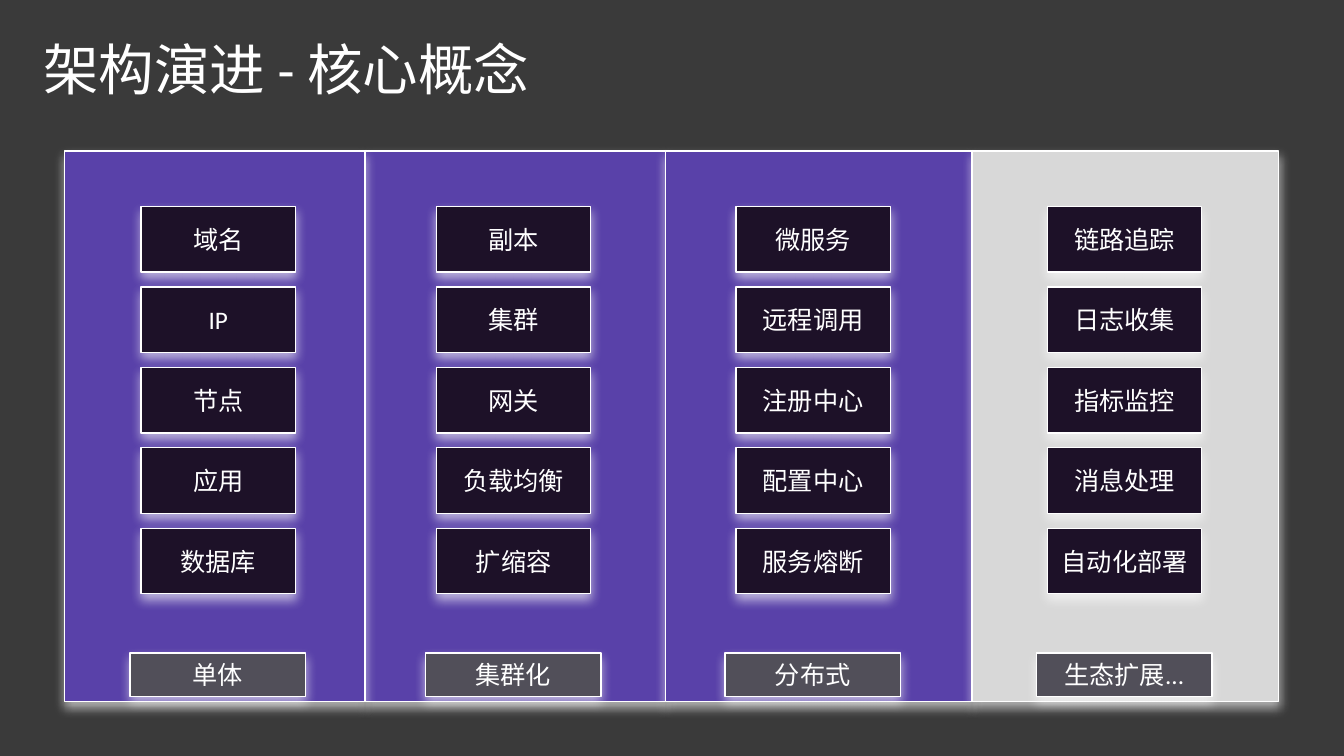
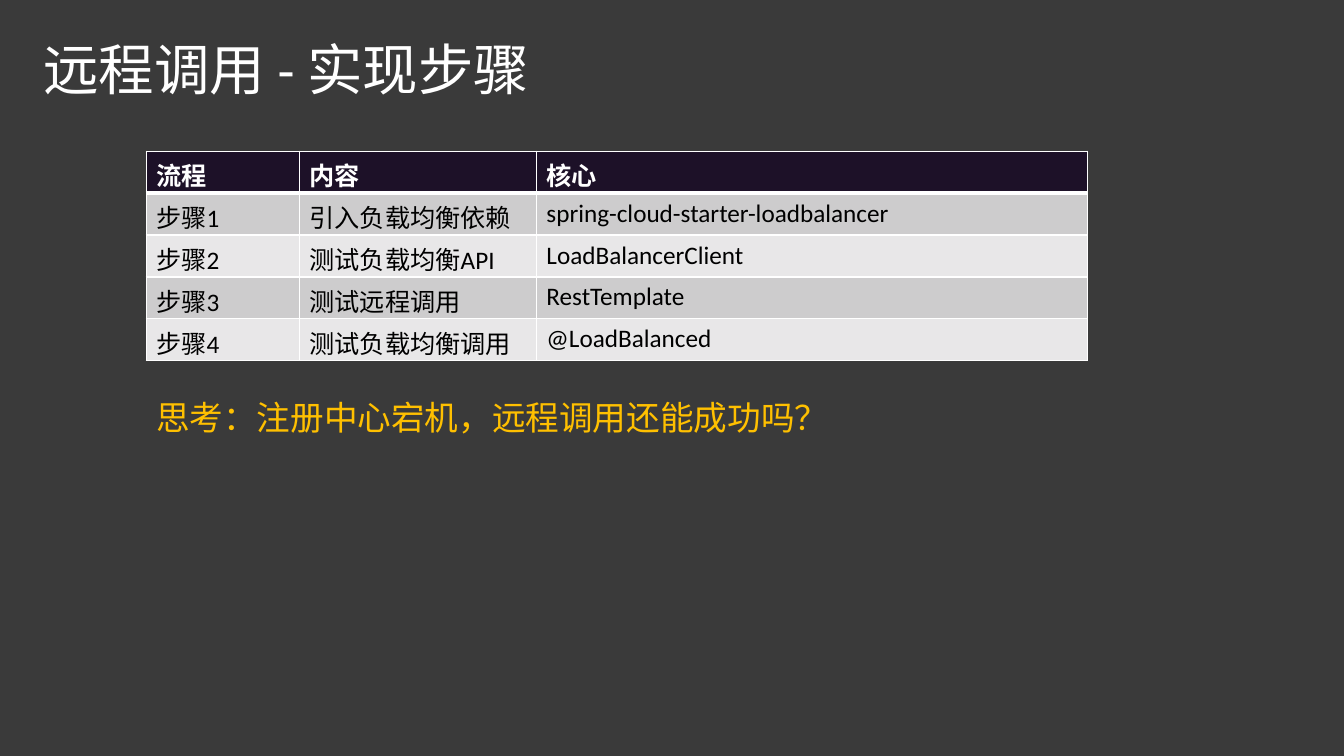
from collections import namedtuple

from lxml import etree
from pptx import Presentation
from pptx import util as u
from pptx.dml.color import RGBColor
from pptx.enum import lang, shapes, text
from pptx.oxml.ns import qn

FONT = "Calibri"
BACKGROUND = RGBColor(0x3A, 0x3A, 0x3A)
WHITE = RGBColor(0xFF, 0xFF, 0xFF)
BLACK = RGBColor(0x00, 0x00, 0x00)
PURPLE = RGBColor(0x59, 0x41, 0xA9)
SILVER = RGBColor(0xD8, 0xD8, 0xD8)
NIGHT = RGBColor(0x1D, 0x11, 0x28)
SLATE = RGBColor(0x51, 0x4F, 0x59)
AMBER = RGBColor(0xFF, 0xC0, 0x00)
BANDS = (RGBColor(0xCD, 0xCC, 0xCD), RGBColor(0xE8, 0xE7, 0xE8))

Box = namedtuple("Box", "left top width height")
Stage = namedtuple("Stage", "name width inset fill concepts")

TITLE_BOX = Box(0.33, 0.35, 8, 0.73)
STAGES_BOX = Box(0.64, 1.5, 12.04, 5.46)
TABLE_BOX = Box(1.45, 1.5, 9.34, 2.08)
QUESTION_BOX = Box(1.45, 3.89, 9.23, 0.5)

STAGES = (
    Stage("单体", 2.98, 0.76, PURPLE, ("域名", "IP", "节点", "应用", "数据库")),
    Stage("集群化", 2.98, 0.71, PURPLE, ("副本", "集群", "网关", "负载均衡", "扩缩容")),
    Stage("分布式", 3.04, 0.7, PURPLE,
          ("微服务", "远程调用", "注册中心", "配置中心", "服务熔断")),
    Stage("生态扩展...", 3.04, 0.75, SILVER,
          ("链路追踪", "日志收集", "指标监控", "消息处理", "自动化部署")),
)
PANEL_ORDER = (1, 0, 2, 3)  # the first panel casts its shadow on the second

STEP_COLUMNS = (1.52, 2.35, 5.47)
STEPS = (
    ("流程", "内容", "核心"),
    ("步骤1", "引入负载均衡依赖", "spring-cloud-starter-loadbalancer"),
    ("步骤2", "测试负载均衡API", "LoadBalancerClient"),
    ("步骤3", "测试远程调用", "RestTemplate"),
    ("步骤4", "测试负载均衡调用", "@LoadBalanced"),
)


def inches(box):
    return [u.Inches(value) for value in box]


def write(frame, words, size=18, color=WHITE, bold=False,
          align=text.PP_ALIGN.LEFT, spacing=None):
    para = frame.paragraphs[0]
    para.alignment = align
    if spacing:
        para.line_spacing = spacing
    span = para.add_run()
    span.text = words
    span.font.name = FONT
    span.font.size = u.Pt(size)
    span.font.bold = bold
    span.font.color.rgb = color
    span.font.language_id = lang.MSO_LANGUAGE_ID.SIMPLIFIED_CHINESE


def add_glow(shape):
    """Give the shape a soft white shadow that falls downwards."""
    shape.shadow.inherit = False
    effects = shape._element.spPr.find(qn("a:effectLst"))
    shadow = etree.SubElement(
        effects, qn("a:outerShdw"), blurRad=str(u.Pt(8)), dist=str(u.Pt(4)),
        dir="5400000", algn="ctr", rotWithShape="0")
    color = etree.SubElement(shadow, qn("a:srgbClr"), val=str(WHITE))
    etree.SubElement(color, qn("a:alpha"), val="60000")


def add_block(page, box, fill, words=None):
    block = page.shapes.add_shape(shapes.MSO_SHAPE.RECTANGLE, *inches(box))
    block.fill.solid()
    block.fill.fore_color.rgb = fill
    block.line.color.rgb = WHITE
    block.line.width = u.Pt(1)
    add_glow(block)
    if words:
        block.text_frame.vertical_anchor = text.MSO_ANCHOR.MIDDLE
        write(block.text_frame, words, align=text.PP_ALIGN.CENTER)


def set_up_deck():
    deck = Presentation()
    deck.slide_width, deck.slide_height = u.Inches(13.33), u.Inches(7.5)
    fill = deck.slide_master.background.fill
    fill.solid()
    fill.fore_color.rgb = BACKGROUND
    title = deck.slide_layouts.get_by_name("Title Only").placeholders[0]
    title.left, title.top, title.width, title.height = inches(TITLE_BOX)
    return deck


def add_page(deck, heading):
    page = deck.slides.add_slide(deck.slide_layouts.get_by_name("Title Only"))
    frame = page.shapes.title.text_frame
    frame.auto_size = text.MSO_AUTO_SIZE.NONE
    frame.vertical_anchor = text.MSO_ANCHOR.MIDDLE
    write(frame, heading, size=39.6, spacing=0.9)
    return page


def add_stage_content(page, box, stage):
    """Stack the concepts of a stage in its panel, with its name below."""
    width, height, first, last = 1.53, 0.65, 0.55, 3.74
    pitch = (last - first) / (len(stage.concepts) - 1)
    left = box.left + stage.inset
    for row, concept in enumerate(stage.concepts):
        top = box.top + first + row * pitch
        add_block(page, Box(left, top, width, height), NIGHT, concept)
    name_box = Box(left - 0.11, box.top + 4.98, 1.74, 0.43)
    add_block(page, name_box, SLATE, stage.name)


def add_stages(page, box):
    panels, left = [], box.left
    for stage in STAGES:
        panels.append(Box(left, box.top, stage.width, box.height))
        left += stage.width
    for index in PANEL_ORDER:
        add_block(page, panels[index], STAGES[index].fill)
    for panel, stage in zip(panels, STAGES):
        add_stage_content(page, panel, stage)


def set_borders(cell, **widths):
    properties = cell._tc.get_or_add_tcPr()
    for side in "LRTB":
        line = etree.SubElement(properties, qn(f"a:ln{side}"),
                                w=str(u.Pt(widths.get(side, 1))))
        fill = etree.SubElement(line, qn("a:solidFill"))
        etree.SubElement(fill, qn("a:srgbClr"), val=str(WHITE))


def add_steps_table(page, box):
    table = page.shapes.add_table(
        len(STEPS), len(STEP_COLUMNS), *inches(box)).table
    for column, width in zip(table.columns, STEP_COLUMNS):
        column.width = u.Inches(width)
    for row, values in enumerate(STEPS):
        header = row == 0
        rule = {0: {"B": 3}, 1: {"T": 3}}.get(row, {})
        for column, words in enumerate(values):
            cell = table.cell(row, column)
            set_borders(cell, **rule)
            cell.fill.solid()
            cell.fill.fore_color.rgb = NIGHT if header else BANDS[(row - 1) % 2]
            write(cell.text_frame, words, bold=header,
                  color=WHITE if header else BLACK)


def add_question(page, box, words):
    frame = page.shapes.add_textbox(*inches(box)).text_frame
    frame.word_wrap = True
    frame.auto_size = text.MSO_AUTO_SIZE.SHAPE_TO_FIT_TEXT
    write(frame, words, size=24, color=AMBER)


def main():
    deck = set_up_deck()
    add_stages(add_page(deck, "架构演进 - 核心概念"), STAGES_BOX)
    steps_page = add_page(deck, "远程调用 - 实现步骤")
    add_question(steps_page, QUESTION_BOX, "思考：注册中心宕机，远程调用还能成功吗？")
    add_steps_table(steps_page, TABLE_BOX)
    deck.save("out.pptx")


if __name__ == "__main__":
    main()
